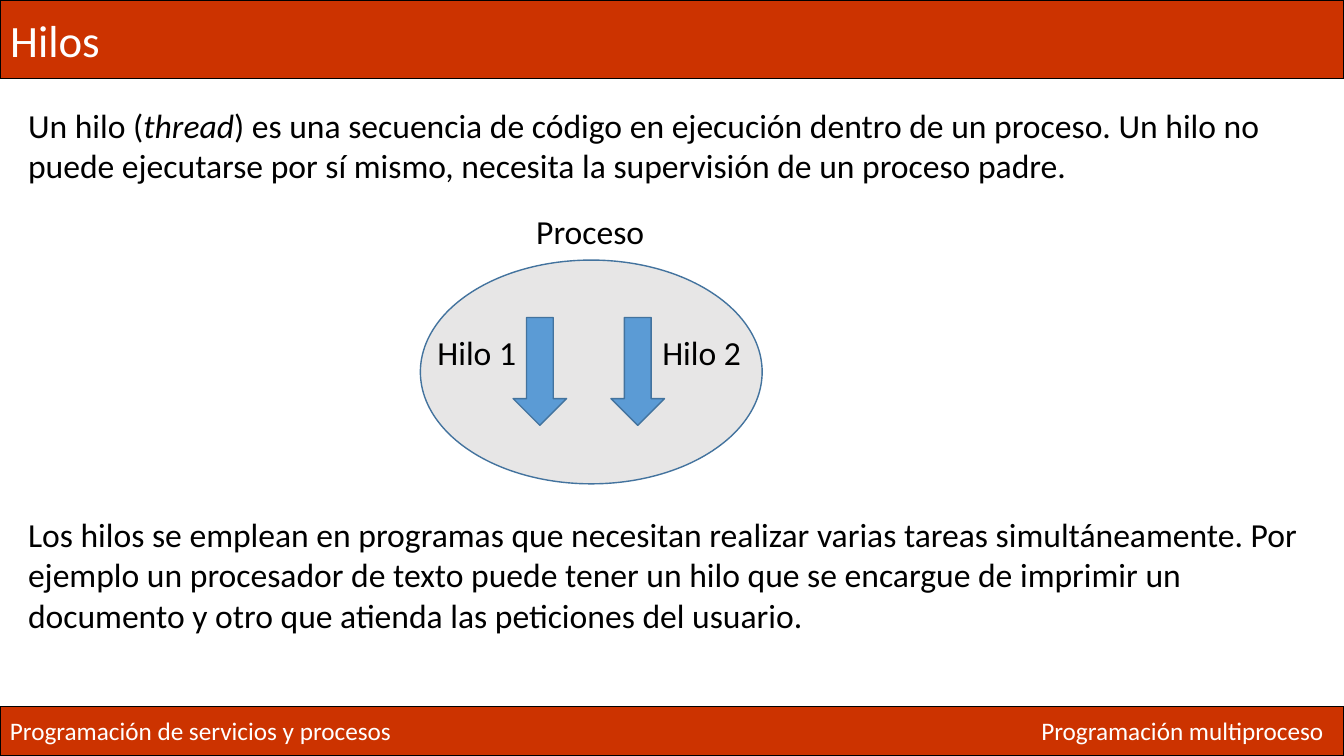
from dataclasses import dataclass

from pptx import Presentation
from pptx.dml.color import RGBColor
from pptx.enum.shapes import MSO_SHAPE as Preset
from pptx.enum.text import MSO_ANCHOR as Anchor, MSO_AUTO_SIZE as AutoSize, PP_ALIGN as Align
from pptx.shapes.autoshape import Shape
from pptx.slide import Slide
from pptx.util import Inches, Pt

WIDTH, HEIGHT = Inches(13.33), Inches(7.5)
FONT = "Calibri"
RED, BLACK, WHITE = "CC3300", "000000", "FFFFFF"
GREY, BLUE, DARK_BLUE = "E7E6E6", "5B9BD5", "43739E"


@dataclass(frozen=True)
class Box:
    """Position and size in percent of the slide."""
    left: float
    top: float
    width: float
    height: float

    def lengths(self) -> tuple[int, int, int, int]:
        return (int(WIDTH * self.left / 100), int(HEIGHT * self.top / 100),
                int(WIDTH * self.width / 100), int(HEIGHT * self.height / 100))


@dataclass(frozen=True)
class Figure:
    preset: Preset
    box: Box
    fill: str
    line: str


@dataclass(frozen=True)
class Caption:
    """Text whose parts between asterisks are italic."""
    text: str
    box: Box
    size: int = 24
    color: str = BLACK
    wrap: bool = False


TITLE_BOX = Box(0, 0, 100, 10.4)

FIGURES = [
    Figure(Preset.RECTANGLE, Box(0, 93.47, 100, 6.53), RED, BLACK),
    Figure(Preset.OVAL, Box(31.28, 34.4, 25.43, 29.6), GREY, DARK_BLUE),
    *(Figure(Preset.DOWN_ARROW, Box(left, 42, 3.98, 14.27), BLUE, DARK_BLUE)
      for left in (38.18, 45.46)),
]

CAPTIONS = [
    Caption("Programación de servicios y procesos", Box(0, 94, 30.15, 5.33), 18, WHITE),
    Caption("Programación multiproceso", Box(76.74, 94, 22.73, 5.33), 18, WHITE),
    Caption("Un hilo (*thread*) es una secuencia de código en ejecución dentro de un proceso. "
            "Un hilo no puede ejecutarse por sí mismo, necesita la supervisión de un proceso padre.",
            Box(1.35, 13.2, 97.3, 12.13), wrap=True),
    Caption("Proceso", Box(39.16, 27.2, 9.6, 6.67)),
    Caption("Hilo 1", Box(31.81, 43.2, 7.43, 6.67)),
    Caption("Hilo 2", Box(48.54, 43.2, 7.43, 6.67)),
    Caption("Los hilos se emplean en programas que necesitan realizar varias tareas "
            "simultáneamente. Por ejemplo un procesador de texto puede tener un hilo que se "
            "encargue de imprimir un documento y otro que atienda las peticiones del usuario.",
            Box(1.35, 67.33, 97.3, 17.47), wrap=True),
]


def rgb(color: str) -> RGBColor:
    return RGBColor.from_string(color)


def paint(shape: Shape, fill: str, line: str) -> None:
    shape.fill.solid()
    shape.fill.fore_color.rgb = rgb(fill)
    shape.line.color.rgb = rgb(line)
    shape.line.width = Pt(1)


def write(shape: Shape, text: str, size: int, color: str) -> None:
    paragraph = shape.text_frame.paragraphs[0]
    paragraph.alignment = Align.LEFT
    paragraph.font.name = FONT
    paragraph.font.size = Pt(size)
    paragraph.font.color.rgb = rgb(color)
    for index, part in enumerate(text.split("*")):
        run = paragraph.add_run()
        run.text = part
        if index % 2:
            run.font.italic = True


def add_title(slide: Slide, text: str) -> None:
    title = slide.shapes.title
    title.left, title.top, title.width, title.height = TITLE_BOX.lengths()
    paint(title, RED, BLACK)
    title.text_frame.auto_size = AutoSize.NONE
    title.text_frame.vertical_anchor = Anchor.MIDDLE
    write(title, text, 32, WHITE)


def add_figure(slide: Slide, figure: Figure) -> None:
    shape = slide.shapes.add_shape(figure.preset, *figure.box.lengths())
    shape.shadow.inherit = False
    paint(shape, figure.fill, figure.line)


def add_caption(slide: Slide, caption: Caption) -> None:
    shape = slide.shapes.add_textbox(*caption.box.lengths())
    shape.text_frame.word_wrap = caption.wrap
    shape.text_frame.auto_size = AutoSize.SHAPE_TO_FIT_TEXT
    write(shape, caption.text, caption.size, caption.color)


def main() -> None:
    presentation = Presentation()
    presentation.slide_width, presentation.slide_height = WIDTH, HEIGHT
    slide = presentation.slides.add_slide(presentation.slide_layouts.get_by_name("Title Only"))
    add_title(slide, "Hilos")
    for figure in FIGURES:
        add_figure(slide, figure)
    for caption in CAPTIONS:
        add_caption(slide, caption)
    presentation.save("out.pptx")


if __name__ == "__main__":
    main()
